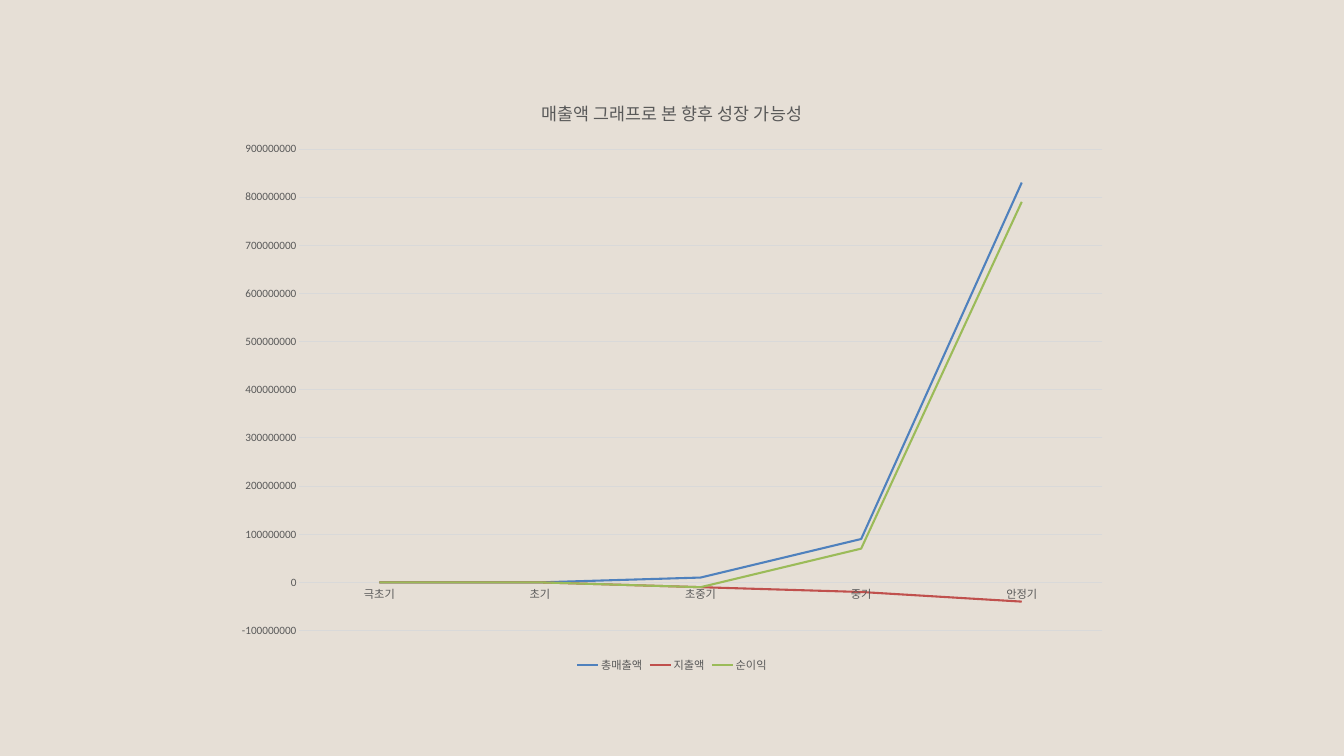
from pptx import Presentation
from pptx.chart.data import CategoryChartData
from pptx.dml.color import RGBColor
from pptx.enum.chart import XL_CHART_TYPE as ChartType, XL_LEGEND_POSITION as LegendPos
from pptx.enum.chart import XL_TICK_MARK as TickMark
from pptx.util import Emu, Pt

PX = 9525  # EMU per px, at 96 px to the inch
FONT = "Calibri"
BACKGROUND = RGBColor(0xE6, 0xDF, 0xD6)
TEXT = RGBColor(0x59, 0x59, 0x59)
GRID = RGBColor(0xD9, 0xD9, 0xD9)
BLUE = RGBColor(0x4F, 0x81, 0xBD)
RED = RGBColor(0xC0, 0x50, 0x4D)
GREEN = RGBColor(0x9B, 0xBB, 0x59)

STAGES = ["극초기", "초기", "초중기", "중기", "안정기"]
MILLION = 1_000_000
# Name, values in millions, line colour
SERIES = [
    ("총매출액", [0, 0, 10, 90, 830], BLUE),
    ("지출액", [0, 0, -10, -20, -40], RED),
    ("순이익", [0, 0, -10, 70, 790], GREEN),
]


def px(n):
    return Emu(n * PX)


def set_font(font, size=12, color=TEXT):
    font.name, font.size, font.bold = FONT, Pt(size), False
    font.color.rgb = color


def add_text(tf, text, **fmt):
    r = tf.paragraphs[0].add_run()
    r.text = text
    set_font(r.font, **fmt)


def set_line(line, color, width):
    line.color.rgb = color
    line.width = Pt(width)


def add_growth_chart(s, x, y, w, h):
    data = CategoryChartData()
    data.categories = STAGES
    for name, values, _ in SERIES:
        data.add_series(name, [v * MILLION for v in values])
    chart = s.shapes.add_chart(ChartType.LINE, px(x), px(y), px(w), px(h), data).chart
    set_font(chart.font)

    # Title and legend
    chart.has_title = True
    add_text(chart.chart_title.text_frame, "매출액 그래프로 본 향후 성장 가능성", size=18.6)
    chart.chart_title.include_in_layout = False
    chart.has_legend = True
    chart.legend.position = LegendPos.BOTTOM
    chart.legend.include_in_layout = False
    set_font(chart.legend.font)

    # Axes
    stages, amounts = chart.category_axis, chart.value_axis
    for axis in (stages, amounts):
        axis.major_tick_mark = axis.minor_tick_mark = TickMark.NONE
        set_font(axis.tick_labels.font)
    set_line(stages.format.line, GRID, 0.75)
    amounts.format.line.fill.background()
    amounts.minimum_scale = -100 * MILLION
    amounts.maximum_scale = 900 * MILLION
    amounts.major_unit = 100 * MILLION
    amounts.has_major_gridlines = True
    set_line(amounts.major_gridlines.format.line, GRID, 0.75)

    # Lines
    plot = chart.plots[0]
    plot.vary_by_categories = False
    for series, (_, _, color) in zip(plot.series, SERIES):
        series.smooth = False
        set_line(series.format.line, color, 2.25)


def main():
    prs = Presentation()
    prs.slide_width, prs.slide_height = px(1920), px(1080)
    s = prs.slides.add_slide(prs.slide_layouts[6])
    s.background.fill.solid()
    s.background.fill.fore_color.rgb = BACKGROUND
    add_growth_chart(s, 320, 113, 1280, 853)
    prs.save("out.pptx")


if __name__ == "__main__":
    main()
